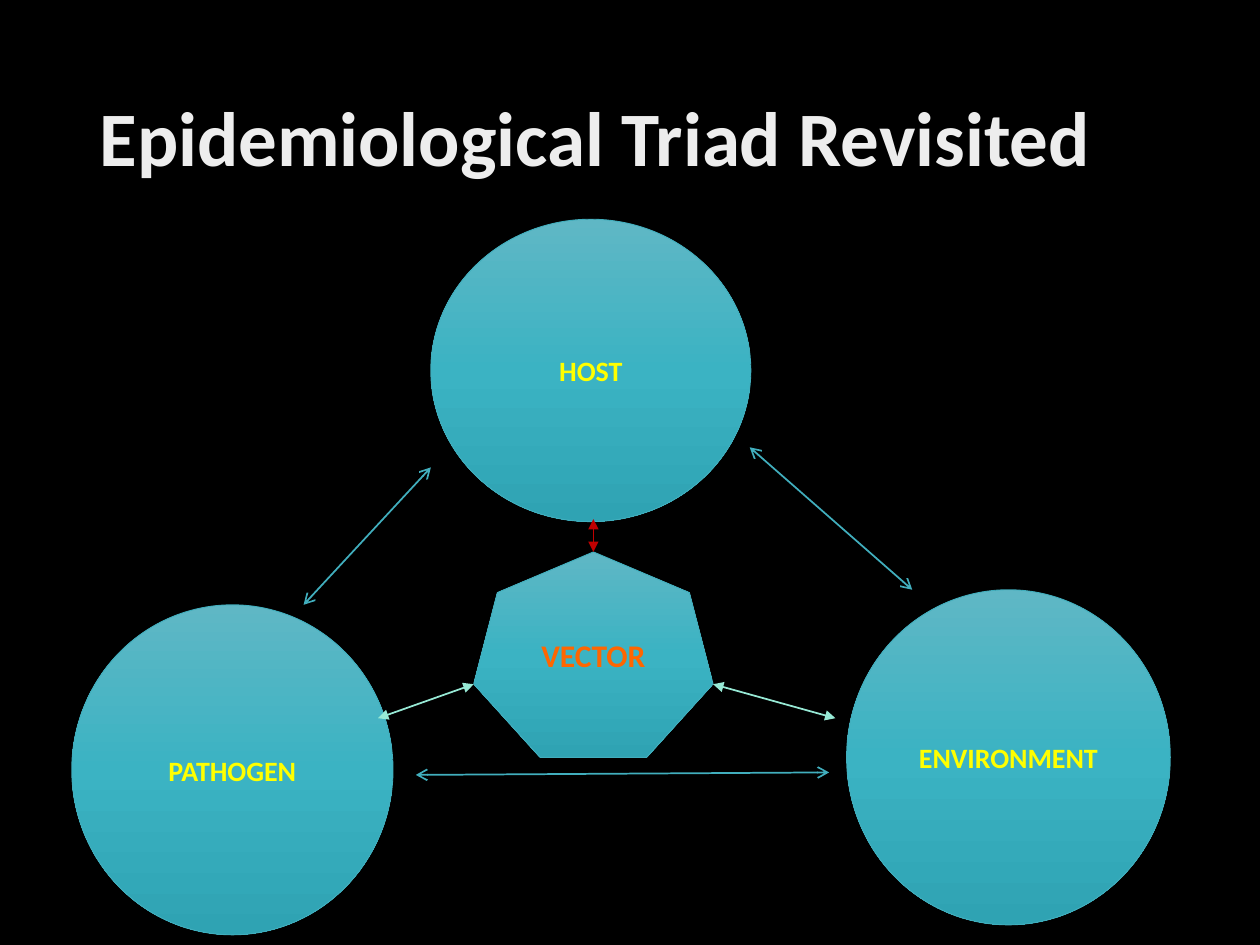
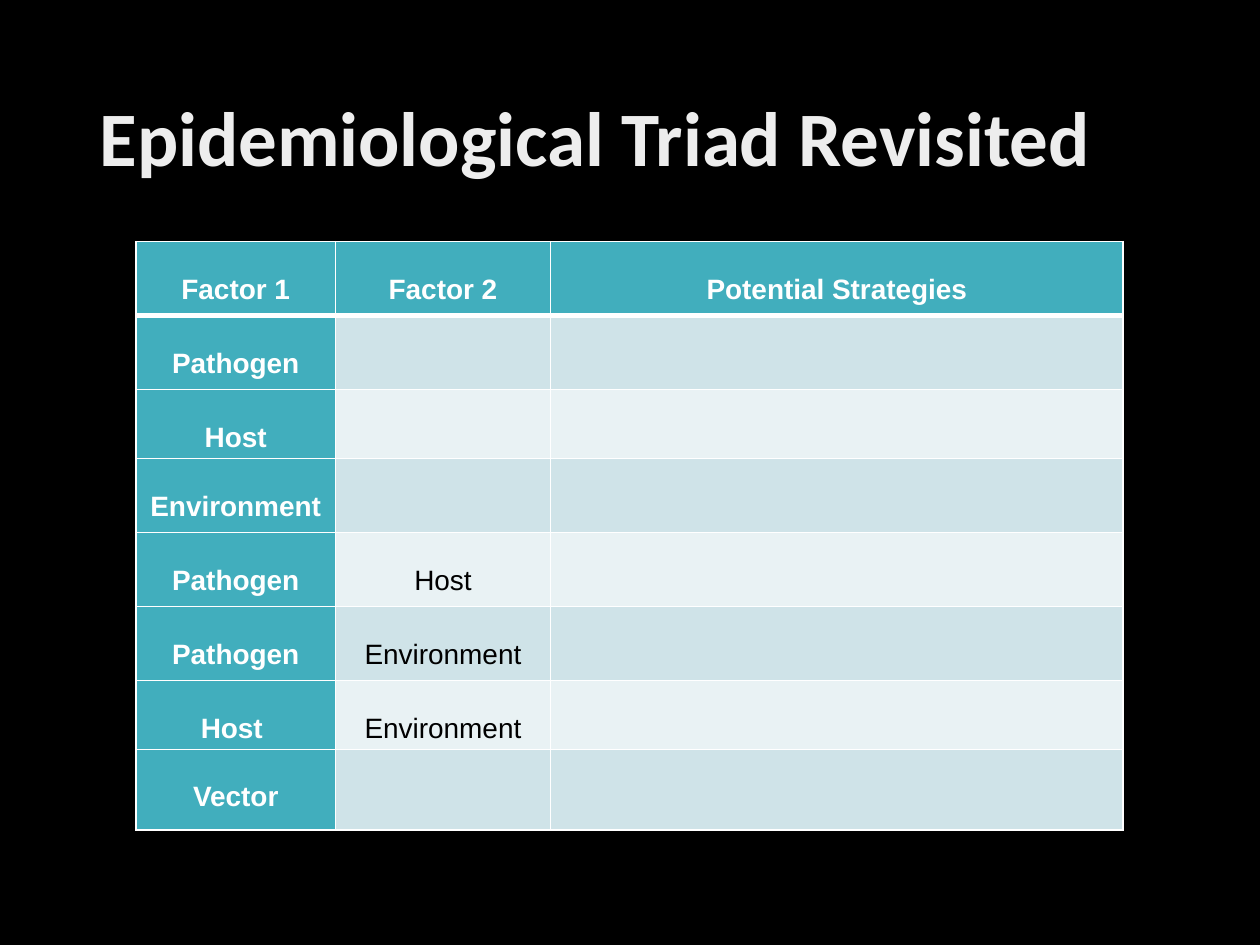
from copy import deepcopy

from lxml import etree
from pptx import Presentation
from pptx.dml.color import RGBColor
from pptx.enum.shapes import MSO_CONNECTOR, MSO_SHAPE
from pptx.enum.text import MSO_ANCHOR, MSO_AUTO_SIZE, PP_ALIGN
from pptx.oxml.ns import qn
from pptx.util import Pt

OVAL, HEPTAGON = MSO_SHAPE.OVAL, MSO_SHAPE.HEPTAGON
STRAIGHT = MSO_CONNECTOR.STRAIGHT
LEFT, CENTER = PP_ALIGN.LEFT, PP_ALIGN.CENTER
MIDDLE = MSO_ANCHOR.MIDDLE

BLACK, WHITE, PALE = "000000", "FFFFFF", "EDEDED"
TEAL, YELLOW, ORANGE = "41AEBD", "FFFF00", "FF6600"
RED, MINT = "C00000", "97E9D5"
SHADES = [(0, "5FB7C5"), (0.5, "3BB3C3"), (1, "2FA3B3")]
BANDS = ["CFE3E8", "E9F2F4"]

TITLE = "Epidemiological Triad Revisited"
TITLE_BOX = (49.7, 28.8, 620.6, 104.4)

# label, shape, box, text size, text colour
NODES = [
    ("HOST", OVAL, (246.2, 125.3, 182.9, 172.8), 16, YELLOW),
    ("ENVIRONMENT", OVAL, (483.8, 337, 185, 191.5), 16, YELLOW),
    ("PATHOGEN", OVAL, (41, 345.6, 183.6, 188.6), 16, YELLOW),
    ("VECTOR", HEPTAGON, (270.7, 315.4, 136.8, 117.4), 18, ORANGE),
]
# start and end, colour, arrowhead
LINKS = [
    ((173.5, 345.6, 246.2, 267.1), TEAL, "arrow"),
    ((428.4, 255.6, 521.3, 337), TEAL, "arrow"),
    ((237.6, 442.8, 473.8, 441.4), TEAL, "arrow"),
    ((339.1, 315.4, 339.1, 296.6), RED, "triangle"),
    ((270.7, 391, 216, 410.4), MINT, "triangle"),
    ((407.5, 391, 477.4, 410.4), MINT, "triangle"),
]

ROWS = [
    ("Factor 1", "Factor 2", "Potential Strategies"),
    ("Pathogen", "", ""),
    ("Host", "", ""),
    ("Environment", "", ""),
    ("Pathogen", "Host", ""),
    ("Pathogen", "Environment", ""),
    ("Host ", "Environment", ""),
    ("Vector", "", ""),
]
WIDTHS = [113.8, 123.1, 327.2]
HEIGHTS = [42.3, 42.3, 39.4, 42.3, 42.3, 42.3, 39.4, 46]
TABLE_AT = (77.8, 138.1)
LINE_DROP = 18.4  # one text line of space above each cell's text


def rgb(code):
    return RGBColor.from_string(code)


def pts(nums):
    return [Pt(n) for n in nums]


def write(frame, text, size, color, font="Calibri", bold=True, align=CENTER):
    par = frame.paragraphs[0]
    par.alignment = align
    run = par.add_run()
    run.text = text
    run.font.name, run.font.size, run.font.bold = font, Pt(size), bold
    run.font.color.rgb = rgb(color)
    return par


def new_slide(deck):
    """Add a slide that carries the shared title."""
    slide = deck.slides.add_slide(deck.slide_layouts[5])
    title = slide.shapes.title
    title.left, title.top, title.width, title.height = pts(TITLE_BOX)
    frame = title.text_frame
    frame.auto_size = MSO_AUTO_SIZE.NONE
    frame.vertical_anchor = MIDDLE
    par = write(frame, TITLE, 44, PALE, align=LEFT)
    par.line_spacing = 0.9
    return slide


def shade(shape):
    """Fill a shape with the three-stop gradient, top to bottom."""
    fill = shape.fill
    fill.gradient()
    fill.gradient_angle = 270
    stops = shape._element.spPr.find(qn("a:gradFill")).find(qn("a:gsLst"))
    stops.append(deepcopy(stops[0]))
    for stop, (place, code) in zip(fill.gradient_stops, SHADES):
        stop.position = place
        stop.color.rgb = rgb(code)


def add_node(slide, label, kind, box, size, color):
    node = slide.shapes.add_shape(kind, *pts(box))
    node.shadow.inherit = False
    shade(node)
    node.line.color.rgb = rgb(TEAL)
    node.line.width = Pt(0.5)
    node.text_frame.vertical_anchor = MIDDLE
    write(node.text_frame, label, size, color)


def add_link(slide, ends, color, head):
    link = slide.shapes.add_connector(STRAIGHT, *pts(ends))
    link.line.color.rgb = rgb(color)
    link.line.width = Pt(1)
    line = link.line._get_or_add_ln()
    for end in ("a:headEnd", "a:tailEnd"):
        etree.SubElement(line, qn(end), type=head)
    etree.SubElement(link._element.spPr, qn("a:effectLst"))


def add_edges(cell, row):
    """Draw white borders, thick between the header and the body."""
    props = cell._tc.get_or_add_tcPr()
    thick = {"T": row == 1, "B": row == 0}
    for side in "LRTB":
        width = Pt(3 if thick.get(side) else 1)
        edge = etree.SubElement(props, qn("a:ln" + side), w=str(width))
        fill = etree.SubElement(edge, qn("a:solidFill"))
        etree.SubElement(fill, qn("a:srgbClr"), val=WHITE)


def fill_cell(cell, text, row, col):
    head = row == 0 or col == 0
    add_edges(cell, row)
    cell.fill.solid()
    cell.fill.fore_color.rgb = rgb(TEAL if head else BANDS[(row - 1) % 2])
    if text:
        cell.margin_left = cell.margin_right = Pt(5)
        cell.margin_top, cell.margin_bottom = Pt(LINE_DROP), Pt(0)
        write(cell.text_frame, text, 16, WHITE if head else BLACK, "Arial", head)


def add_grid(slide):
    box = (*TABLE_AT, sum(WIDTHS), sum(HEIGHTS))
    grid = slide.shapes.add_table(len(ROWS), len(WIDTHS), *pts(box)).table
    for col, width in zip(grid.columns, WIDTHS):
        col.width = Pt(width)
    for row, height in zip(grid.rows, HEIGHTS):
        row.height = Pt(height)
    for r, texts in enumerate(ROWS):
        for c, text in enumerate(texts):
            fill_cell(grid.cell(r, c), text, r, c)


def main():
    deck = Presentation()
    deck.slide_width, deck.slide_height = Pt(720), Pt(540)
    back = deck.slide_master.background.fill
    back.solid()
    back.fore_color.rgb = rgb(BLACK)

    triad = new_slide(deck)
    for node in NODES:
        add_node(triad, *node)
    for link in LINKS:
        add_link(triad, *link)

    add_grid(new_slide(deck))
    deck.save("out.pptx")


if __name__ == "__main__":
    main()
